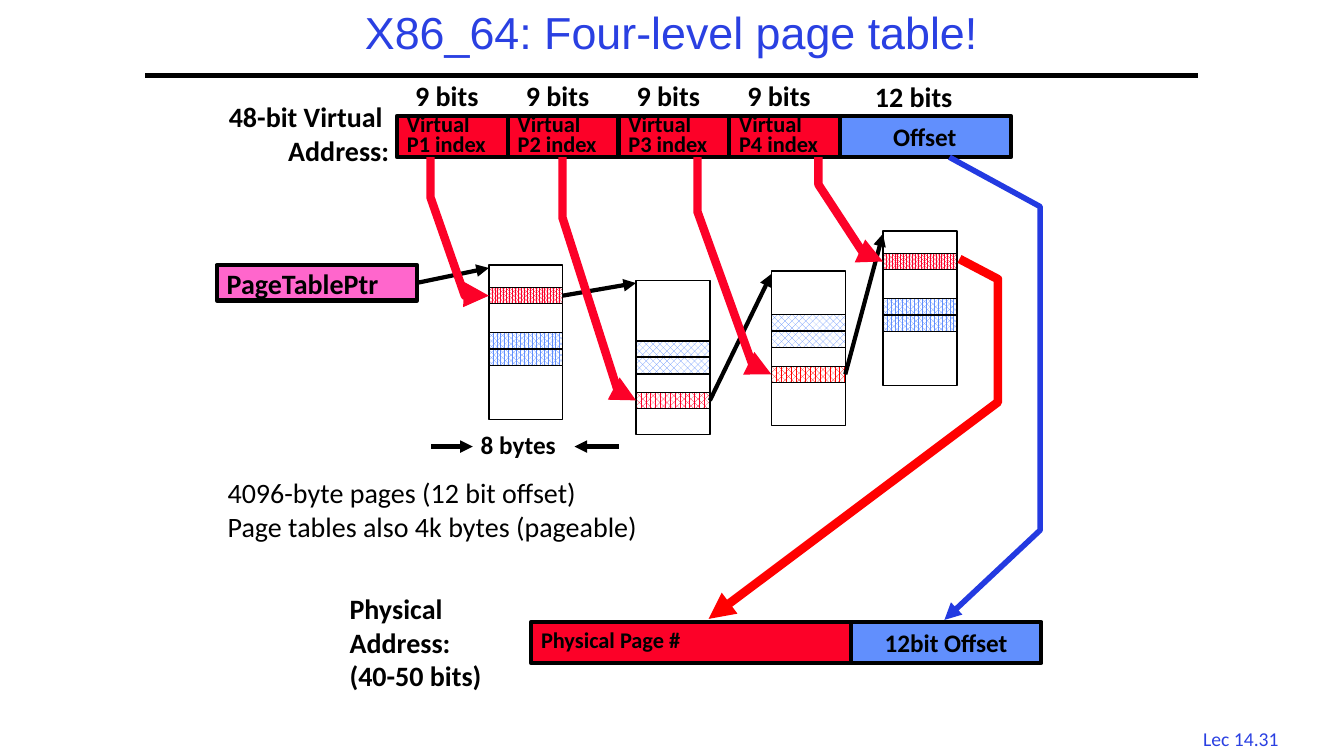
"""Build a slide showing how a four-level page table translates an address."""
import pptx
import pptx.util
import pptx.dml.color
import pptx.enum.dml
import pptx.enum.shapes
import pptx.enum.text
import pptx.oxml
from dataclasses import dataclass

Pt = pptx.util.Pt
PATTERN = pptx.enum.dml.MSO_PATTERN
ALIGN = pptx.enum.text.PP_ALIGN
ANCHOR = pptx.enum.text.MSO_ANCHOR


@dataclass(frozen=True)
class Theme:
    black: str = "000000"
    white: str = "FFFFFF"
    red: str = "FC0128"
    bright_red: str = "FF0000"
    blue: str = "618FFD"
    title_blue: str = "2A40E2"
    path_blue: str = "233AE1"
    pink: str = "FF66CC"
    title_font: str = "Arial"
    body_font: str = "Calibri"
    title_size: float = 32
    label_size: float = 20
    offset_size: float = 18
    index_size: float = 16
    footer_size: float = 14


theme = Theme()

TITLE = "X86_64: Four-level page table!"
TITLE_BOX = (254, 5.8, 451.5, 38.9)
RULE = ((103.7, 54), (856, 54))
WIDE, TIGHT = (7.2, 3.6), (5, 2.2)

LABELS = [
    ((847.5, 515.5, 77.8, 23.8), ["Lec 14.31"], theme.footer_size, False, ALIGN.CENTER, WIDE, 1, theme.title_blue),
    ((242.6, 419, 121, 80), ["Physical", "Address:", "(40-50 bits)"], theme.label_size, True, ALIGN.LEFT, WIDE, 1, theme.black),
    ((620, 57.6, 74.2, 26), ["12 bits"], theme.label_size, True, ALIGN.LEFT, TIGHT, 0.9, theme.black),
    ((141.8, 67.7, 143.3, 55.4), ["48-bit Virtual ", "Address:"], theme.label_size, True, ALIGN.RIGHT, WIDE, 1, theme.black),
    ((338.4, 306.7, 72.7, 23.8), ["8 bytes"], theme.offset_size, True, ALIGN.LEFT, TIGHT, 0.9, theme.black),
    ((155.5, 336.2, 346.3, 55.4), ["4096-byte pages (12 bit offset)\nPage tables also 4k bytes (pageable)"],
     theme.label_size, False, ALIGN.LEFT, WIDE, 1, theme.black),
]

INDEX_LEFT, INDEX_TOP, INDEX_WIDTH, FIELD_HEIGHT = 283.6, 82.8, 79.1, 29.5
INDEX_LABEL = (291.6, 56.8, 62.6, 26)
OFFSET_FIELDS = [((599, 82.8, 123.1, FIELD_HEIGHT), "Offset"),
                 ((607.7, 444.2, 136.1, FIELD_HEIGHT), "12bit Offset")]
PHYSICAL_PAGE = (379.4, 444.2, 228.3, FIELD_HEIGHT)
POINTER = (154.8, 189.4, 143.3, 25.2)

TABLE_WIDTH, TABLE_HEIGHT, ENTRY_HEIGHT = 52.8, 110.2, 11.6
LEVELS = [
    dict(corner=(349.2, 189.4), used=16, others=(48.3, 60.3), red=theme.red,
         used_fill=PATTERN.PERCENT_80, other_fill=PATTERN.PERCENT_75, route=(307.5, 141, 332)),
    dict(corner=(454.3, 200.2), used=80, others=(43.3, 55.3), red=theme.red,
         used_fill=PATTERN.PERCENT_70, other_fill=PATTERN.PERCENT_50, route=(401.8, 155.5, 443.5)),
    dict(corner=(551, 193.7), used=67.9, others=(30.8, 42.9), red=theme.bright_red,
         used_fill=PATTERN.PERCENT_70, other_fill=PATTERN.PERCENT_50, route=(498.2, 151.2, 540)),
    dict(corner=(630.7, 165), used=16, others=(48.3, 60.3), red=theme.red,
         used_fill=PATTERN.PERCENT_80, other_fill=PATTERN.PERCENT_75, route=(584.6, 131.8, 620.6)),
]
BYTE_ARROWS = [((308.2, 319), (337.7, 319)), ((442, 319), (410.4, 319))]
RESULT_ROUTES = [
    ([(678.2, 112.3), (743, 147.6), (743, 378.7), (674.6, 442.8)], theme.path_blue, 4),
    ([(685.4, 185), (712.8, 199.4), (712.8, 287.3), (506.2, 442.1)], theme.bright_red, 6.25),
]


def colour(code):
    return pptx.dml.color.RGBColor.from_string(code)


def style_line(line, code, width, arrow=False):
    line.color.rgb = colour(code)
    line.width = Pt(width)
    if arrow:
        pptx.oxml.ns.qn
        line._get_or_add_ln().append(pptx.oxml.parse_xml(
            '<a:tailEnd xmlns:a="http://schemas.openxmlformats.org/drawingml/2006/main" type="triangle"/>'))


def write(box, lines, size, bold=False, align=ALIGN.LEFT, insets=WIDE, spacing=1,
          code=theme.black, font=theme.body_font, anchor=ANCHOR.TOP, grow=True):
    frame = box.text_frame
    frame.word_wrap = False
    frame.vertical_anchor = anchor
    frame.auto_size = (pptx.enum.text.MSO_AUTO_SIZE.SHAPE_TO_FIT_TEXT if grow
                       else pptx.enum.text.MSO_AUTO_SIZE.NONE)
    frame.margin_left = frame.margin_right = Pt(insets[0])
    frame.margin_top = frame.margin_bottom = Pt(insets[1])
    for number, line in enumerate(lines):
        para = frame.add_paragraph() if number else frame.paragraphs[0]
        para.alignment = align
        para.line_spacing = spacing
        for part, words in enumerate(line.split("\n")):
            if part:
                para.add_line_break()
            span = para.add_run()
            span.text = words
            span.font.name = font
            span.font.size = Pt(size)
            span.font.bold = bold
            span.font.color.rgb = colour(code)


def add_label(page, area, *text_style):
    write(page.shapes.add_textbox(*map(Pt, area)), *text_style)


def add_box(page, area, fill=None, width=3, pattern=None):
    box = page.shapes.add_shape(pptx.enum.shapes.MSO_SHAPE.RECTANGLE, *map(Pt, area))
    box.shadow.inherit = False
    if pattern:
        box.fill.patterned()
        box.fill.pattern = pattern
        box.fill.fore_color.rgb = colour(fill)
        box.fill.back_color.rgb = colour(theme.white)
    elif fill:
        box.fill.solid()
        box.fill.fore_color.rgb = colour(fill)
    else:
        box.fill.background()
    style_line(box.line, theme.black, width)
    return box


def add_field(page, area, fill, lines, size, align=ALIGN.LEFT, spacing=1):
    box = add_box(page, area, fill)
    write(box, lines, size, True, align, spacing=spacing, anchor=ANCHOR.MIDDLE, grow=False)
    return box


def add_line(page, start, end, arrow=True, source=None):
    line = page.shapes.add_connector(pptx.enum.shapes.MSO_CONNECTOR.STRAIGHT, *map(Pt, start + end))
    line._element.spPr.append(pptx.oxml.parse_xml(
        '<a:effectLst xmlns:a="http://schemas.openxmlformats.org/drawingml/2006/main"/>'))
    style_line(line.line, theme.black, 3, arrow)
    if source is not None:
        line.begin_connect(source, 3)


def add_route(page, points, code, width):
    corners = [tuple(map(Pt, point)) for point in points]
    builder = page.shapes.build_freeform(*corners[0])
    builder.add_line_segments(corners[1:], close=False)
    route = builder.convert_to_shape()
    route.shadow.inherit = False
    route.fill.background()
    style_line(route.line, code, width, True)


def add_table_level(page, level):
    left, top = level["corner"]
    add_box(page, (left, top, TABLE_WIDTH, TABLE_HEIGHT), width=1)
    for shift in level["others"]:
        add_box(page, (left, top + shift, TABLE_WIDTH, ENTRY_HEIGHT), theme.blue, 1, level["other_fill"])
    return add_box(page, (left, top + level["used"], TABLE_WIDTH, ENTRY_HEIGHT),
                   level["red"], 1, level["used_fill"])


def main():
    deck = pptx.Presentation()
    deck.slide_width, deck.slide_height = Pt(960), Pt(540)
    page = deck.slides.add_slide(deck.slide_layouts[5])
    title = page.shapes.title
    title.left, title.top, title.width, title.height = map(Pt, TITLE_BOX)
    write(title, [TITLE], theme.title_size, False, ALIGN.CENTER, TIGHT, 0.9,
          theme.title_blue, theme.title_font)
    add_line(page, *RULE, arrow=False)
    for label in LABELS:
        add_label(page, *label)

    for area, words in OFFSET_FIELDS:
        add_field(page, area, theme.blue, [words], theme.offset_size, ALIGN.CENTER)
    add_field(page, PHYSICAL_PAGE, theme.red, ["Physical Page #"], theme.index_size, spacing=0.75)
    source = add_field(page, POINTER, theme.pink, ["PageTablePtr"], theme.label_size)

    for number, level in enumerate(LEVELS):
        shift = number * INDEX_WIDTH
        label_left, *label_rest = INDEX_LABEL
        add_label(page, (label_left + shift, *label_rest), ["9 bits"], theme.label_size,
                  True, ALIGN.LEFT, TIGHT, 0.9)
        add_field(page, (INDEX_LEFT + shift, INDEX_TOP, INDEX_WIDTH, FIELD_HEIGHT), theme.red,
                  ["Virtual", f"P{number + 1} index"], theme.index_size, spacing=0.75)
        entry = add_table_level(page, level)
        left, top = level["corner"]
        add_line(page, (left, top), (left, top + 2), source=source)
        start, knee, elbow = level["route"]
        middle = top + level["used"] + ENTRY_HEIGHT / 2
        add_route(page, [(start, INDEX_TOP + FIELD_HEIGHT), (start, knee), (elbow, middle), (left, middle)],
                  theme.red, 6)
        source = entry

    for arrow in BYTE_ARROWS:
        add_line(page, *arrow)
    for route in RESULT_ROUTES:
        add_route(page, *route)
    deck.save("out.pptx")


if __name__ == "__main__":
    main()
